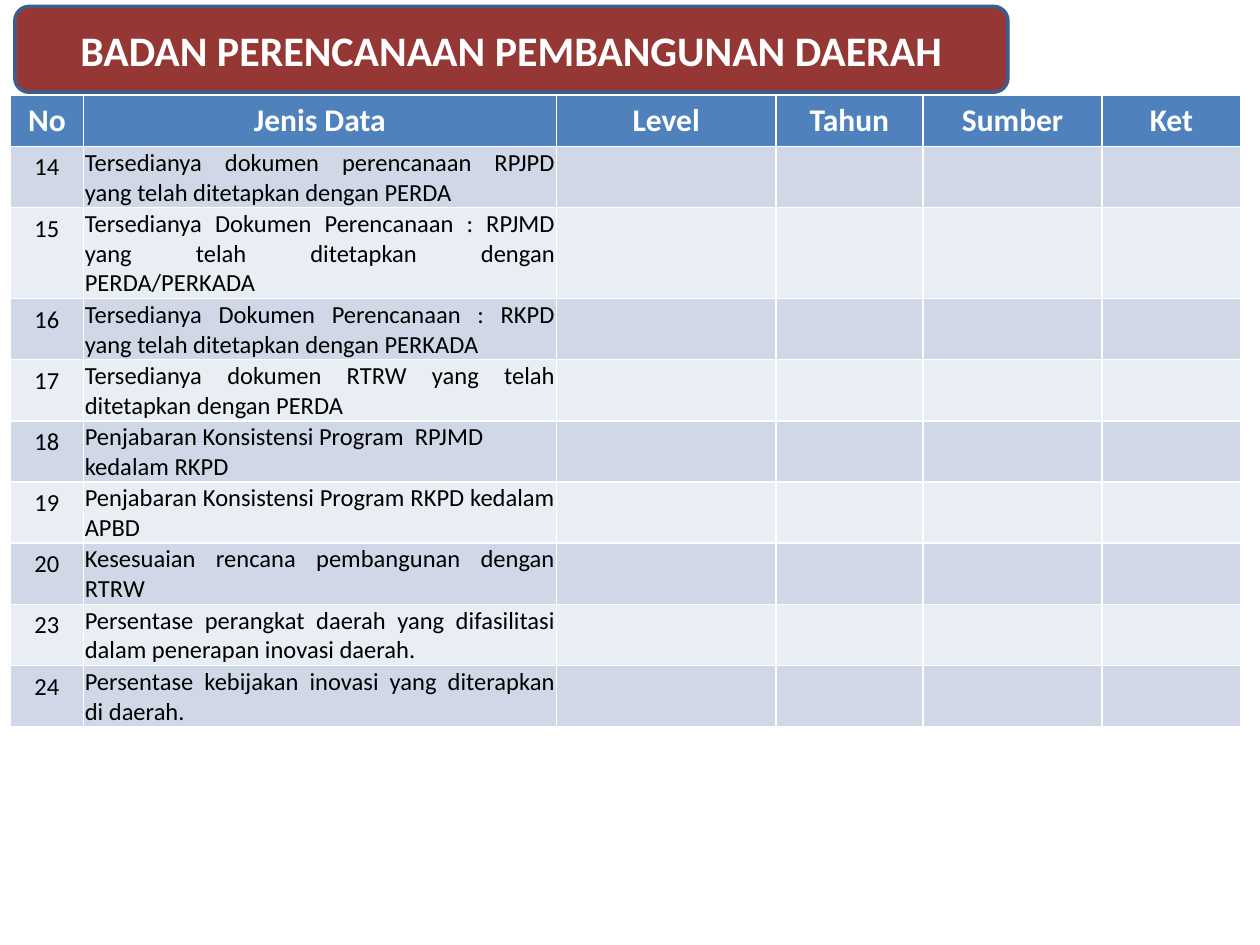
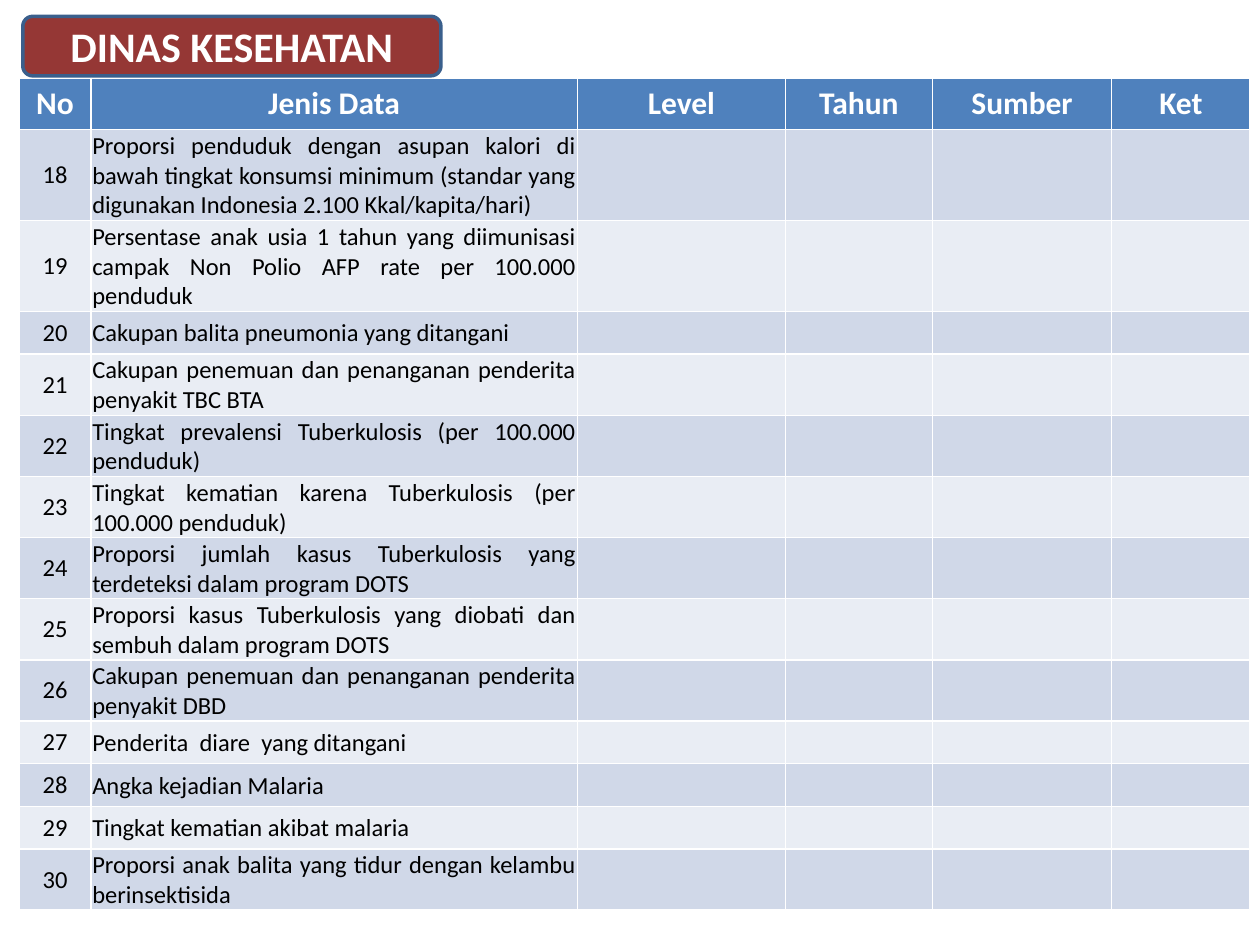
import pptx
import pptx.util
import pptx.dml.color
import pptx.enum.shapes
import pptx.enum.text

Cm = pptx.util.Cm
Pt = pptx.util.Pt
RGBColor = pptx.dml.color.RGBColor
ALIGN = pptx.enum.text.PP_ALIGN
ANCHOR = pptx.enum.text.MSO_ANCHOR

WHITE = RGBColor(0xFF, 0xFF, 0xFF)
BLACK = RGBColor(0x00, 0x00, 0x00)
MAROON = RGBColor(0x95, 0x37, 0x35)
OUTLINE_BLUE = RGBColor(0x3A, 0x5F, 0x8C)
HEADER_BLUE = RGBColor(0x4F, 0x81, 0xBD)
BANDS = (RGBColor(0xD0, 0xD8, 0xE8), RGBColor(0xE9, 0xED, 0xF4))

TITLE_FONT = {"name": "Calibri", "size": Pt(24), "bold": True}
HEADER_FONT = {"name": "Calibri", "size": Pt(18), "bold": True}
BODY_FONT = {"name": "Calibri", "size": Pt(14), "bold": False}
TIGHT_MARGINS = {
    "margin_left": Cm(0.03),
    "margin_top": Cm(0.03),
    "margin_right": Cm(0.03),
    "margin_bottom": 0,
}

HEADINGS = ("No", "Jenis Data", "Level", "Tahun", "Sumber", "Ket")
HEADER_HEIGHT = 1.01
HEIGHT_BY_LINES = {1: 0.86, 2: 1.23, 3: 1.83}

PLANNING_ROWS = (
    (14, "Tersedianya dokumen perencanaan RPJPD yang telah ditetapkan dengan PERDA", 2, ALIGN.JUSTIFY),
    (15, "Tersedianya Dokumen Perencanaan : RPJMD yang telah ditetapkan dengan PERDA/PERKADA", 3, ALIGN.JUSTIFY),
    (16, "Tersedianya Dokumen Perencanaan : RKPD yang telah ditetapkan dengan PERKADA", 2, ALIGN.JUSTIFY),
    (17, "Tersedianya dokumen RTRW yang telah ditetapkan dengan PERDA", 2, ALIGN.JUSTIFY),
    (18, "Penjabaran Konsistensi Program  RPJMD kedalam RKPD", 2, ALIGN.LEFT),
    (19, "Penjabaran Konsistensi Program RKPD kedalam APBD", 2, ALIGN.JUSTIFY),
    (20, "Kesesuaian rencana pembangunan dengan RTRW", 2, ALIGN.JUSTIFY),
    (23, "Persentase perangkat daerah yang difasilitasi dalam penerapan inovasi daerah.", 2, ALIGN.JUSTIFY),
    (24, "Persentase kebijakan inovasi yang diterapkan di daerah.", 2, ALIGN.JUSTIFY),
)
HEALTH_ROWS = (
    (18, "Proporsi penduduk dengan asupan kalori di bawah tingkat konsumsi minimum "
         "(standar yang digunakan Indonesia 2.100 Kkal/kapita/hari)", 3, ALIGN.JUSTIFY),
    (19, "Persentase anak usia 1 tahun yang diimunisasi campak Non Polio AFP rate "
         "per 100.000 penduduk", 3, ALIGN.JUSTIFY),
    (20, "Cakupan balita pneumonia yang ditangani", 1, ALIGN.JUSTIFY),
    (21, "Cakupan penemuan dan penanganan penderita penyakit TBC BTA", 2, ALIGN.JUSTIFY),
    (22, "Tingkat prevalensi Tuberkulosis (per 100.000 penduduk)", 2, ALIGN.JUSTIFY),
    (23, "Tingkat kematian karena Tuberkulosis (per 100.000 penduduk)", 2, ALIGN.JUSTIFY),
    (24, "Proporsi jumlah kasus Tuberkulosis yang terdeteksi dalam program DOTS", 2, ALIGN.JUSTIFY),
    (25, "Proporsi kasus Tuberkulosis yang diobati dan sembuh dalam program DOTS", 2, ALIGN.JUSTIFY),
    (26, "Cakupan penemuan dan penanganan penderita penyakit DBD", 2, ALIGN.JUSTIFY),
    (27, "Penderita  diare  yang ditangani", 1, ALIGN.LEFT),
    (28, "Angka kejadian Malaria", 1, ALIGN.LEFT),
    (29, "Tingkat kematian akibat malaria", 1, ALIGN.LEFT),
    (30, "Proporsi anak balita yang tidur dengan kelambu berinsektisida", 2, ALIGN.JUSTIFY),
)


def apply_format(target, values):
    for name, value in values.items():
        setattr(target, name, value)


def write_text(frame, text, font, color, align):
    para = frame.paragraphs[0]
    para.alignment = align
    span = para.add_run()
    span.text = text
    apply_format(span.font, font)
    span.font.color.rgb = color


def paint(target, color):
    target.fill.solid()
    target.fill.fore_color.rgb = color


def add_title(page, text, left, top, width, height):
    box = page.shapes.add_shape(
        pptx.enum.shapes.MSO_SHAPE.ROUNDED_RECTANGLE,
        Cm(left), Cm(top), Cm(width), Cm(height))
    box.shadow.inherit = False
    paint(box, MAROON)
    box.line.color.rgb = OUTLINE_BLUE
    box.line.width = Pt(2)
    apply_format(box.text_frame, {"word_wrap": True, "vertical_anchor": ANCHOR.MIDDLE})
    write_text(box.text_frame, text, TITLE_FONT, WHITE, ALIGN.CENTER)


def fill_row(cells, number, text, align, number_anchor, band):
    for cell in cells:
        paint(cell, band)
    number_cell, text_cell, *empty_cells = cells
    number_cell.vertical_anchor = number_anchor
    write_text(number_cell.text_frame, str(number), BODY_FONT, BLACK, ALIGN.CENTER)
    apply_format(text_cell, TIGHT_MARGINS)
    text_cell.vertical_anchor = ANCHOR.MIDDLE
    write_text(text_cell.text_frame, text, BODY_FONT, BLACK, align)
    for cell in empty_cells:
        end_mark = cell.text_frame.paragraphs[0]._p.get_or_add_endParaRPr()
        end_mark.set("sz", "1400")


def add_data_table(page, left, top, widths, rows, number_anchor):
    heights = [HEADER_HEIGHT] + [HEIGHT_BY_LINES[lines] for _, _, lines, _ in rows]
    table = page.shapes.add_table(
        len(heights), len(widths),
        Cm(left), Cm(top), Cm(sum(widths)), Cm(sum(heights))).table
    for column, width in zip(table.columns, widths):
        column.width = Cm(width)
    for row, height in zip(table.rows, heights):
        row.height = Cm(height)
    for cell, heading in zip(table.rows[0].cells, HEADINGS):
        paint(cell, HEADER_BLUE)
        write_text(cell.text_frame, heading, HEADER_FONT, WHITE, ALIGN.CENTER)
    for index, (number, text, _, align) in enumerate(rows):
        cells = list(table.rows[index + 1].cells)
        fill_row(cells, number, text, align, number_anchor, BANDS[index % 2])


def main():
    deck = pptx.Presentation()
    deck.slide_width = Cm(25.4)
    deck.slide_height = Cm(19.05)
    blank = deck.slide_layouts[6]

    page = deck.slides.add_slide(blank)
    add_data_table(page, 0.21, 1.92, (1.47, 9.54, 4.42, 2.97, 3.61, 2.79),
                   PLANNING_ROWS, ANCHOR.TOP)
    add_title(page, "BADAN PERENCANAAN PEMBANGUNAN DAERAH", 0.3, 0.13, 20.02, 1.73)

    page = deck.slides.add_slide(blank)
    add_title(page, "DINAS KESEHATAN", 0.46, 0.33, 8.43, 1.2)
    add_data_table(page, 0.39, 1.58, (1.44, 9.81, 4.19, 2.97, 3.61, 2.79),
                   HEALTH_ROWS, ANCHOR.MIDDLE)

    deck.save("out.pptx")


if __name__ == "__main__":
    main()
